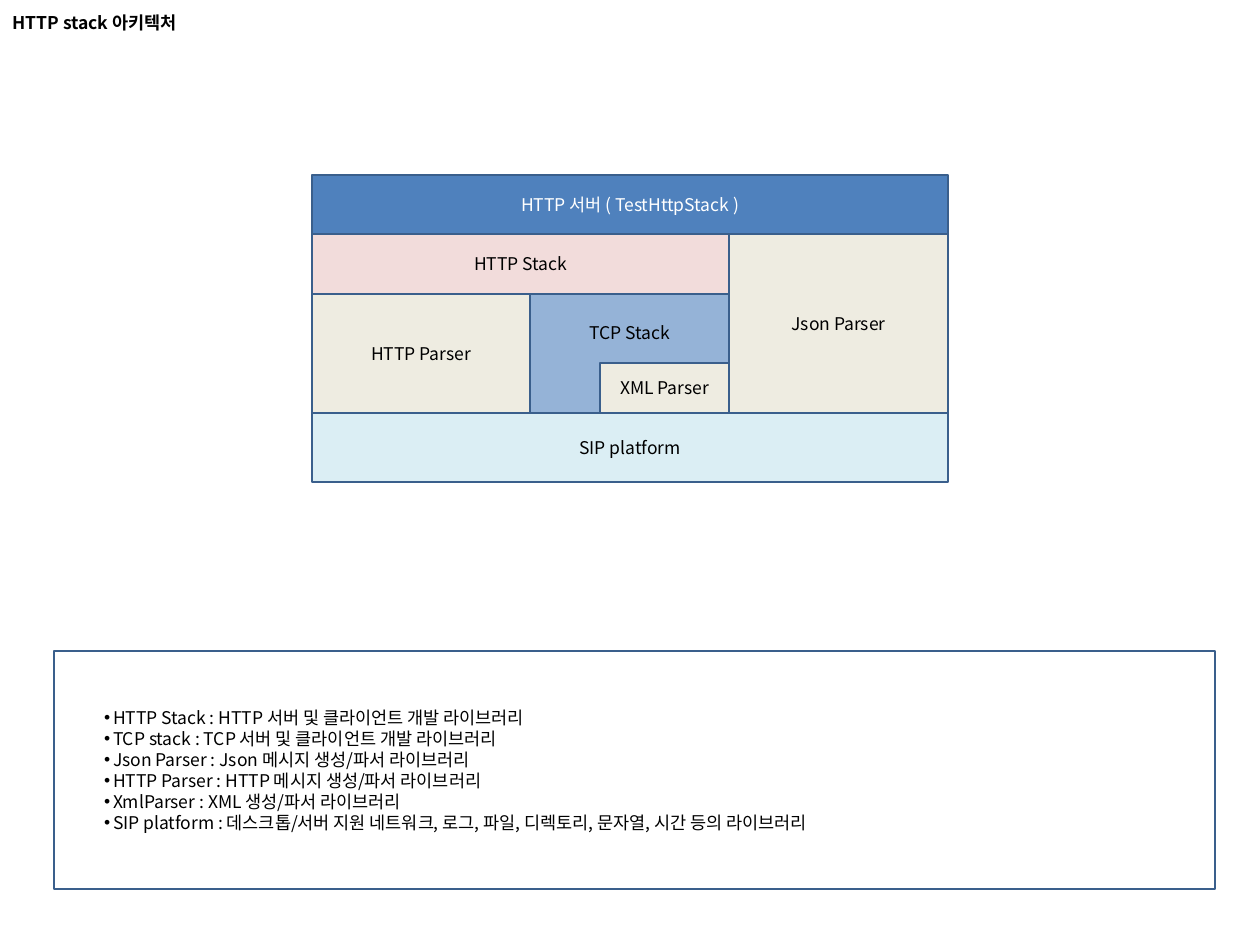
from lxml import etree
from pptx import Presentation
from pptx import util as u
from pptx.dml.color import RGBColor
from pptx.enum import shapes, text
from pptx.oxml.ns import qn

theme = {
    "font": "Noto Sans CJK KR",
    "size": 10,
    "ink": "000000",
    "light": "FFFFFF",
    "edge": "3A5F8C",
    "app": "4F81BD",
    "http": "F2DCDB",
    "tcp": "95B3D7",
    "parse": "EEECE1",
    "base": "DBEEF4",
}


def px(n):
    return u.Emu(round(n * 914400 / 126))


def write(para, words, ink="ink", bold=False):
    run = para.add_run()
    run.text = words
    font = run.font
    font.size = u.Pt(theme["size"])
    font.bold = bold
    font.color.rgb = RGBColor.from_string(theme[ink])
    font.name = theme["font"]
    east = etree.SubElement(run._r.get_or_add_rPr(), qn("a:ea"))
    east.set("typeface", theme["font"])


deck = Presentation()
deck.slide_width, deck.slide_height = px(1260), px(945)
slide = deck.slides.add_slide(deck.slide_layouts[1])
edge = RGBColor.from_string(theme["edge"])

title = slide.shapes.title
title.left, title.top, title.width, title.height = px(0), px(0), px(1071), px(45)
frame = title.text_frame
frame.auto_size = text.MSO_AUTO_SIZE.NONE
frame.vertical_anchor = text.MSO_ANCHOR.MIDDLE
frame.paragraphs[0].alignment = text.PP_ALIGN.LEFT
write(frame.paragraphs[0], "HTTP stack 아키텍처", bold=True)

notes = [
    "HTTP Stack : HTTP 서버 및 클라이언트 개발 라이브러리",
    "TCP stack : TCP 서버 및 클라이언트 개발 라이브러리",
    "Json Parser : Json 메시지 생성/파서 라이브러리",
    "HTTP Parser : HTTP 메시지 생성/파서 라이브러리",
    "XmlParser : XML 생성/파서 라이브러리",
    "SIP platform : 데스크톱/서버 지원 네트워크, 로그, 파일, 디렉토리, 문자열, 시간 등의 라이브러리",
]
body = slide.placeholders[1]
body.left, body.top, body.width, body.height = px(54), px(651), px(1161), px(238)
body.line.color.rgb = edge
body.line.width = u.Pt(1)
frame = body.text_frame
frame.auto_size = text.MSO_AUTO_SIZE.NONE
frame.word_wrap = True
frame.vertical_anchor = text.MSO_ANCHOR.MIDDLE
frame.margin_left = frame.margin_right = px(50)
for i, note in enumerate(notes):
    para = frame.add_paragraph() if i else frame.paragraphs[0]
    para.space_before = u.Pt(0)
    props = para._p.get_or_add_pPr()
    props.set("marL", str(px(9)))
    props.set("indent", str(-px(9)))
    etree.SubElement(props, qn("a:buChar")).set("char", "•")
    write(para, note)

cols = [312, 530, 600, 729, 948]
rows = [175, 234, 294, 363, 413, 482]
blocks = [
    ("SIP platform", 0, 4, 4, 5, "base", "ink", 6),
    ("Json Parser", 3, 1, 4, 4, "parse", "ink", 6),
    ("HTTP 서버 ( TestHttpStack )", 0, 0, 4, 1, "app", "light", 6),
    ("HTTP Stack", 0, 1, 3, 2, "http", "ink", 6),
    ("HTTP Parser", 0, 2, 1, 4, "parse", "ink", 6),
    ("TCP Stack", 1, 2, 3, 4, "tcp", "ink", 49),
    ("XML Parser", 2, 3, 3, 4, "parse", "ink", 6),
]
for name, c1, r1, c2, r2, fill, ink, foot in blocks:
    x, y = cols[c1], rows[r1]
    box = slide.shapes.add_shape(
        shapes.MSO_SHAPE.RECTANGLE, px(x), px(y), px(cols[c2] - x), px(rows[r2] - y)
    )
    box.shadow.inherit = False
    box.fill.solid()
    box.fill.fore_color.rgb = RGBColor.from_string(theme[fill])
    box.line.color.rgb = edge
    box.line.width = u.Pt(1.5)
    frame = box.text_frame
    frame.word_wrap = False
    frame.vertical_anchor = text.MSO_ANCHOR.MIDDLE
    frame.margin_left = frame.margin_right = 0
    frame.margin_top, frame.margin_bottom = px(6), px(foot)
    frame.paragraphs[0].alignment = text.PP_ALIGN.CENTER
    write(frame.paragraphs[0], name, ink)

deck.save("out.pptx")
